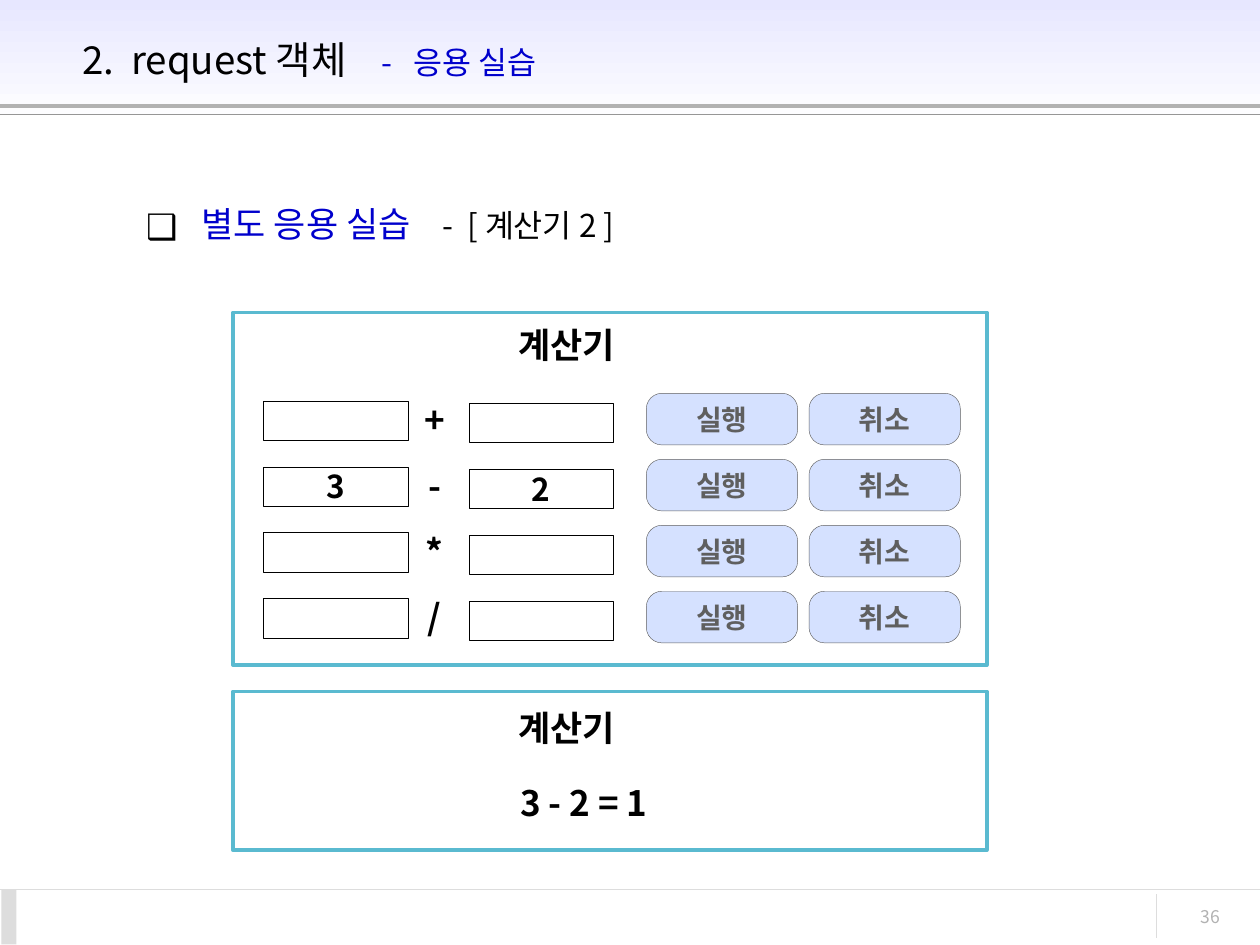
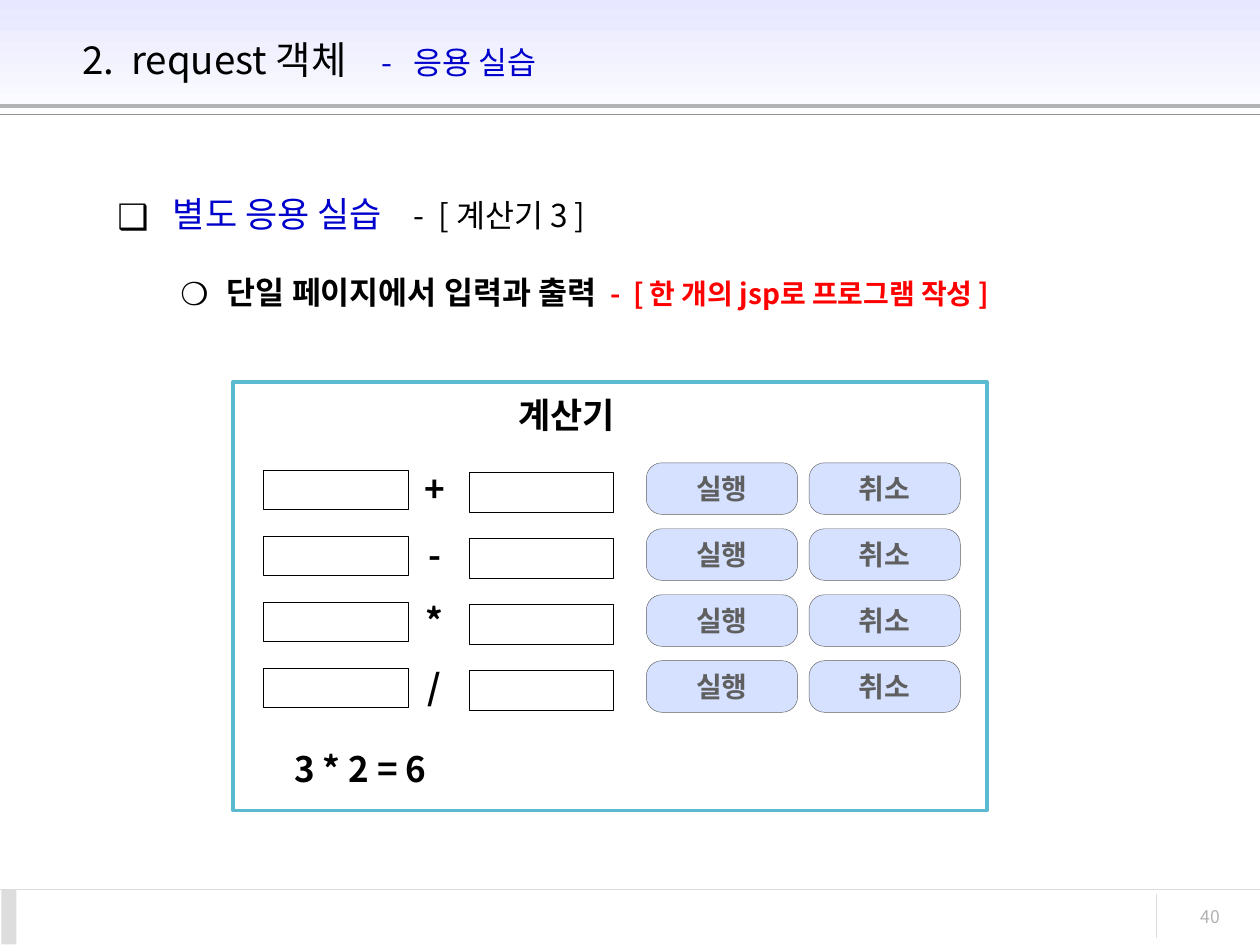
from dataclasses import dataclass

from lxml.etree import SubElement
from pptx import Presentation
from pptx.dml.color import RGBColor
from pptx.enum.shapes import MSO_CONNECTOR, MSO_SHAPE
from pptx.enum.text import MSO_ANCHOR, MSO_AUTO_SIZE, PP_ALIGN
from pptx.oxml.ns import qn
from pptx.util import Cm, Pt


@dataclass(frozen=True)
class Style:
    size: float
    color: str
    bold: bool = False


class Theme:
    font = "Noto Sans CJK KR"
    band_top, white = "E7E7FF", "FFFFFF"
    rule_thick, rule_thin, footer = "B2B2B2", "969696", "DDDDDD"
    frame, button, grey, black = "5ABAD0", "D5E1FF", "5F5F5F", "000000"
    title = Style(22, "000000")
    subtitle = Style(18, "0000CC")
    topic = Style(20, "0000CC")
    topic_note = Style(18, "000000")
    point = Style(18, "000000", True)
    point_note = Style(16, "FF0000", True)
    heading = Style(20, "000000", True)
    number = Style(18, "000000", True)
    button_label = Style(16, "5F5F5F", True)
    page_number = Style(10, "B2B2B2")


# A span is (text, style, extra points of space before the next span).
TITLE = [
    ("2.", Theme.title, 5),
    ("request 객체", Theme.title, 15),
    ("-", Theme.subtitle, 8),
    ("응용 실습", Theme.subtitle, 0),
]


def topic(name):
    return [
        ("별도 응용 실습", Theme.topic, 13.5),
        ("-", Theme.topic_note, 4),
        (f"[ {name} ]", Theme.topic_note, 0),
    ]


SINGLE_PAGE_POINT = [
    ("단일 페이지에서 입력과 출력", Theme.point, 4),
    ("-", Theme.point_note, 3.5),
    ("[ 한 개의 jsp로 프로그램 작성 ]", Theme.point_note, 0),
]

HEADING = "계산기"
OPERATORS = ["+", "-", "*", "/"]
BUTTONS = ["실행", "취소"]

# Frames are (top, height); results are (text, left, top, width), in cm.
PAGES = [
    {
        "number": "36",
        "body": (2.69, 3.96),
        "lines": [topic("계산기 2")],
        "calculator": (6.3, 7.11),
        "operands": {"-": ("3", "2")},
        "result_frame": (13.94, 3.2),
        "result": ("3 - 2 = 1", 10.13, 15.62, 3.28),
    },
    {
        "number": "40",
        "body": (2.11, 3.76),
        "lines": [topic("계산기 3"), SINGLE_PAGE_POINT],
        "calculator": (7.7, 8.64),
        "operands": {},
        "result_frame": None,
        "result": ("3 * 2 = 6", 5.55, 14.94, 3.43),
    },
]

# Per list level: bullet, left margin (cm), hanging (cm), space before, after, line spacing
LEVELS = [
    ("❑", 1.12, 1.12, 4.5, 11.2, 1.0),
    ("❍", 2.21, 0.94, 4, 0, 1.3),
]

FRAME_LEFT, FRAME_WIDTH = 4.7, 15.19
ROW_PITCH = 1.33
FIELD_SIZE = (2.92, 0.79)
BUTTON_SIZE = (3.05, 1.04)
BUTTON_LEFT, BUTTON_PITCH = 13.03, 3.28


def rgb(color):
    return RGBColor.from_string(color)


def lengths(*values):
    return [Cm(value) for value in values]


def add_span(para, text, style):
    span = para.add_run()
    span.text = text
    span.font.name = Theme.font
    span.font.size = Pt(style.size)
    span.font.bold = style.bold
    span.font.color.rgb = rgb(style.color)
    properties = span._r.get_or_add_rPr()
    SubElement(properties, qn("a:ea")).set("typeface", Theme.font)
    return properties


def write_spans(para, spans):
    """Write the spans, parted by single spaces widened by the given points."""
    for index, (text, style, gap) in enumerate(spans):
        add_span(para, text, style)
        if index < len(spans) - 1:
            add_span(para, " ", style).set("spc", str(round(gap * 100)))


def set_bullet(para, bullet, margin, hanging):
    properties = para._p.get_or_add_pPr()
    properties.set("marL", str(Cm(margin)))
    properties.set("indent", str(-Cm(hanging)))
    color = SubElement(properties, qn("a:buClr"))
    SubElement(color, qn("a:srgbClr")).set("val", Theme.black)
    SubElement(properties, qn("a:buFont")).set("typeface", Theme.font)
    SubElement(properties, qn("a:buChar")).set("char", bullet)


def write_label(shape, text, style, align=PP_ALIGN.CENTER, anchor=MSO_ANCHOR.MIDDLE):
    frame = shape.text_frame
    frame.word_wrap = False
    frame.vertical_anchor = anchor
    para = frame.paragraphs[0]
    para.alignment = align
    add_span(para, text, style)


def add_label(page, place, text, style, align=PP_ALIGN.CENTER):
    box = page.shapes.add_textbox(*lengths(*place))
    write_label(box, text, style, align, MSO_ANCHOR.TOP)


def add_box(page, place, fill=None, line=None, width=0.25, kind=MSO_SHAPE.RECTANGLE):
    box = page.shapes.add_shape(kind, *lengths(*place))
    box.shadow.inherit = False
    if fill:
        box.fill.solid()
        box.fill.fore_color.rgb = rgb(fill)
    else:
        box.fill.background()
    if line:
        box.line.color.rgb = rgb(line)
        box.line.width = Pt(width)
    else:
        box.line.fill.background()
    return box


def add_rule(page, ends, color, width=0.75):
    rule = page.shapes.add_connector(MSO_CONNECTOR.STRAIGHT, *lengths(*ends))
    rule.line.color.rgb = rgb(color)
    rule.line.width = Pt(width)
    SubElement(rule._element.spPr, qn("a:effectLst"))
    return rule


def decorate_layout(layout, page):
    """Draw the shared band and footer on a page, then move them to its layout."""
    band = add_box(page, (0, 0, 25.4, 2.54), Theme.band_top)
    band.fill.gradient()
    band.fill.gradient_angle = 270
    for stop, color in zip(band.fill.gradient_stops, (Theme.band_top, Theme.white)):
        stop.color.rgb = rgb(color)
        stop.position = 0 if color == Theme.band_top else 1
    parts = [
        band,
        add_rule(page, (0, 2.13, 25.4, 2.13), Theme.rule_thick, 2.25),
        add_rule(page, (0, 2.31, 25.4, 2.31), Theme.rule_thin),
        add_rule(page, (0, 17.93, 25.4, 17.93), Theme.footer),
        add_box(page, (0.03, 17.93, 0.3, 1.11), Theme.footer),
        add_rule(page, (23.32, 18.03, 23.32, 18.9), Theme.footer),
    ]
    for part in parts:
        layout.shapes._spTree.append(part._element)


def place_holder(holder, place):
    holder.left, holder.top, holder.width, holder.height = lengths(*place)
    holder.text_frame.auto_size = MSO_AUTO_SIZE.NONE
    holder.text_frame.word_wrap = True
    return holder.text_frame


def write_title(page):
    frame = place_holder(page.shapes.title, (1.4, 0.33, 21.92, 1.73))
    frame.vertical_anchor = MSO_ANCHOR.MIDDLE
    para = frame.paragraphs[0]
    para.alignment = PP_ALIGN.LEFT
    write_spans(para, TITLE)


def write_body(page, corner, lines):
    frame = place_holder(page.placeholders[1], (*corner, 22.02, 12.57))
    frame.vertical_anchor = MSO_ANCHOR.TOP
    for level, spans in enumerate(lines):
        para = frame.add_paragraph() if level else frame.paragraphs[0]
        bullet, margin, hanging, before, after, spacing = LEVELS[level]
        para.level = level
        para.space_before, para.space_after = Pt(before), Pt(after)
        para.line_spacing = spacing
        set_bullet(para, bullet, margin, hanging)
        write_spans(para, spans)


def add_frame(page, top, height, heading_offset):
    add_box(page, (FRAME_LEFT, top, FRAME_WIDTH, height), Theme.white, Theme.frame, 2.25)
    add_label(page, (10.19, top + heading_offset, 2.46, 1.12), HEADING, Theme.heading)


def add_calculator(page, top, height, operands):
    add_frame(page, top, height, 0.1)
    for row, operator in enumerate(OPERATORS):
        row_top = top + 1.6 + row * ROW_PITCH
        add_label(page, (8.31, row_top, 0.9, 1.12), operator, Theme.heading)
        values = operands.get(operator, ("", ""))
        for value, left, offset in zip(values, (5.31, 9.45), (0.18, 0.23)):
            field = add_box(page, (left, row_top + offset, *FIELD_SIZE), line=Theme.black)
            if value:
                write_label(field, value, Theme.number)
        for column, label in enumerate(BUTTONS):
            place = (BUTTON_LEFT + column * BUTTON_PITCH, row_top + 0.03, *BUTTON_SIZE)
            button = add_box(page, place, Theme.button, Theme.grey,
                             kind=MSO_SHAPE.ROUNDED_RECTANGLE)
            button.adjustments[0] = 0.3
            write_label(button, label, Theme.button_label)


def main():
    deck = Presentation()
    deck.slide_width, deck.slide_height = lengths(25.4, 19.05)
    layout = deck.slide_layouts[1]
    for index, content in enumerate(PAGES):
        page = deck.slides.add_slide(layout)
        if index == 0:
            decorate_layout(layout, page)
        write_title(page)
        write_body(page, content["body"], content["lines"])
        add_calculator(page, *content["calculator"], content["operands"])
        if content["result_frame"]:
            add_frame(page, *content["result_frame"], 0.18)
        result, left, top, width = content["result"]
        add_label(page, (left, top, width, 1.12), result, Theme.heading)
        add_label(page, (22.5, 18.14, 2.34, 0.84), content["number"],
                  Theme.page_number, PP_ALIGN.RIGHT)
    deck.save("out.pptx")


if __name__ == "__main__":
    main()
